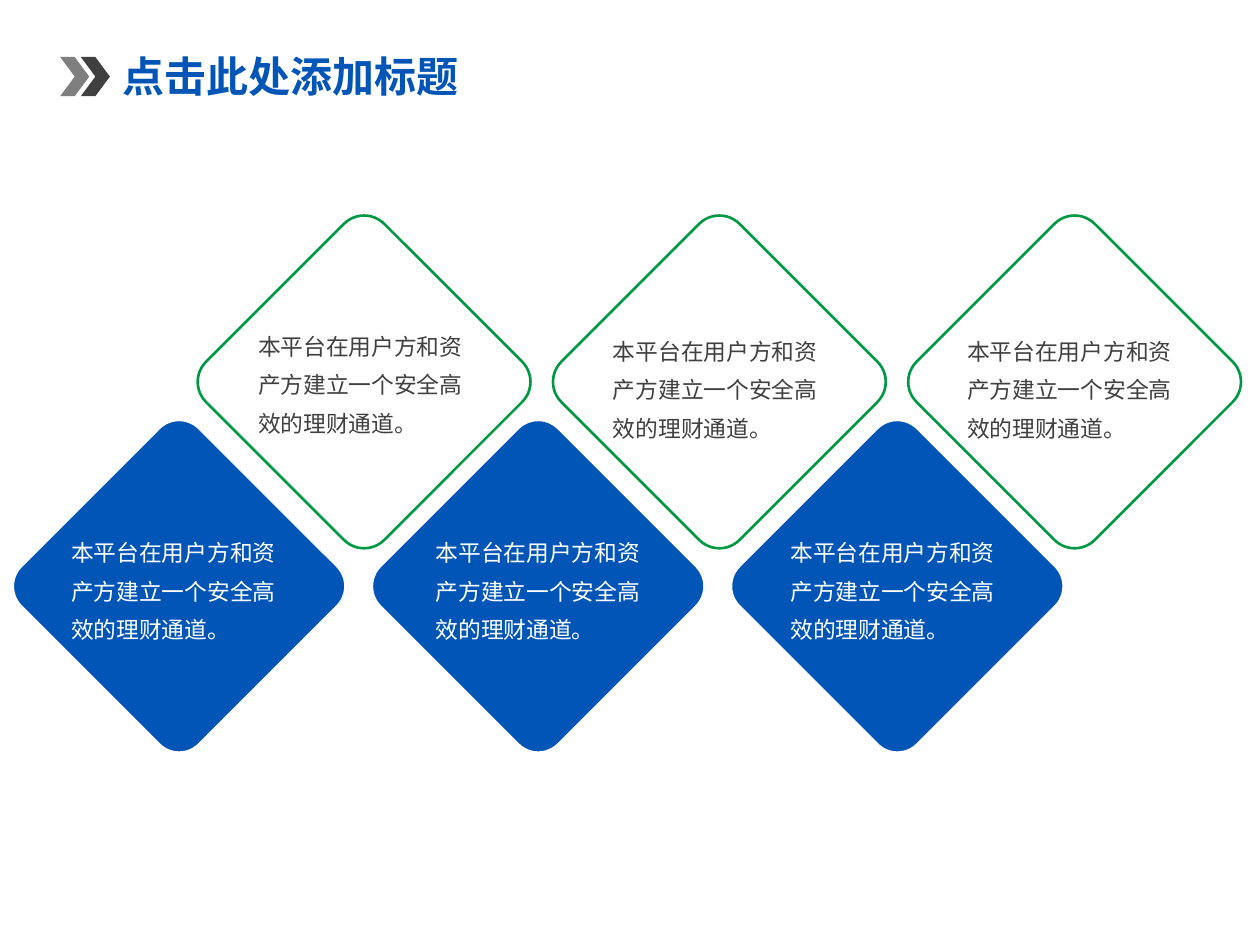
from dataclasses import dataclass

from lxml.etree import SubElement
from pptx import Presentation
from pptx.dml.color import RGBColor
from pptx.enum.shapes import MSO_SHAPE
from pptx.enum.text import MSO_AUTO_SIZE
from pptx.oxml.ns import qn
from pptx.slide import Slide
from pptx.util import Pt

FONT = "Noto Sans CJK SC"
COLORS = {
    "blue": "0055B7",
    "green": "009844",
    "white": "FFFFFF",
    "dark": "404040",
    "gray": "7F7F7F",
}
MESSAGE = "本平台在用户方和资产方建立一个安全高效的理财通道。"
SIDE = 144


@dataclass(frozen=True)
class Style:
    fill: str
    line: str
    text: str


@dataclass(frozen=True)
class Diamond:
    left: float
    top: float
    text_left: float
    text_top: float
    text_width: float
    style: Style


OUTLINED = Style("white", "green", "dark")
SOLID = Style("blue", "white", "white")
UPPER = [
    Diamond(136.1 + 203 * column, 146.2, text_left, text_top, 140.4, OUTLINED)
    for column, (text_left, text_top) in enumerate([(140.4, 180), (343.2, 183), (545.6, 183)])
]
LOWER = [
    Diamond(30.4 + 205.2 * column, 263, text_left, 298.2, text_width, SOLID)
    for column, (text_left, text_width) in enumerate([(33.6, 140.4), (241.9, 134.6), (444.6, 134.6)])
]
STACK = [UPPER[0], LOWER[0], LOWER[1], UPPER[1], LOWER[2], UPPER[2]]


def color(name: str) -> RGBColor:
    return RGBColor.from_string(COLORS[name])


def add_text(page: Slide, text: str, *, left: float, top: float, width: float, height: float,
             size: float, fill: str, bold: bool = False, wrap: bool = True,
             spacing: float | None = None) -> None:
    box = page.shapes.add_textbox(Pt(left), Pt(top), Pt(width), Pt(height))
    frame = box.text_frame
    frame.word_wrap = wrap
    frame.auto_size = MSO_AUTO_SIZE.SHAPE_TO_FIT_TEXT
    para = frame.paragraphs[0]
    if spacing is not None:
        para.line_spacing = Pt(spacing)
    span = para.add_run()
    span.text = text
    span.font.size = Pt(size)
    span.font.bold = bold
    span.font.color.rgb = color(fill)
    span.font.name = FONT
    SubElement(span.font._element, qn("a:ea"), typeface=FONT)


def add_chevron(page: Slide, left: float, fill: str) -> None:
    top, width, height = 32.6, 16.6, 22.4
    middle, right = left + width / 2, left + width
    center, bottom = top + height / 2, top + height
    builder = page.shapes.build_freeform(Pt(left), Pt(top))
    outline = [(middle, top), (right, center), (middle, bottom), (left, bottom), (middle, center)]
    builder.add_line_segments([(Pt(x), Pt(y)) for x, y in outline], close=True)
    chevron = builder.convert_to_shape()
    chevron.shadow.inherit = False
    chevron.fill.solid()
    chevron.fill.fore_color.rgb = color(fill)
    chevron.line.fill.background()


def add_diamond(page: Slide, diamond: Diamond) -> None:
    shape = page.shapes.add_shape(MSO_SHAPE.ROUNDED_RECTANGLE, Pt(diamond.left), Pt(diamond.top),
                                  Pt(SIDE), Pt(SIDE))
    shape.adjustments[0] = 0.113
    shape.rotation = 315
    shape.shadow.inherit = False
    shape.fill.solid()
    shape.fill.fore_color.rgb = color(diamond.style.fill)
    shape.line.color.rgb = color(diamond.style.line)
    shape.line.width = Pt(1.5)


def main() -> None:
    """Build the slide with a heading and two rows of diamonds."""
    deck = Presentation()
    deck.slide_width, deck.slide_height = Pt(720), Pt(540)
    page = deck.slides.add_slide(deck.slide_layouts[6])
    add_chevron(page, 34.4, "gray")
    add_chevron(page, 46.2, "dark")
    add_text(page, "点击此处添加标题", left=62.8, top=25.2, width=208, height=36,
             size=24, fill="blue", bold=True, wrap=False)
    for diamond in STACK:
        add_diamond(page, diamond)
    for diamond in UPPER + LOWER:
        add_text(page, MESSAGE, left=diamond.text_left, top=diamond.text_top,
                 width=diamond.text_width, height=73.4, size=13,
                 fill=diamond.style.text, spacing=22)
    deck.save("out.pptx")


if __name__ == "__main__":
    main()
